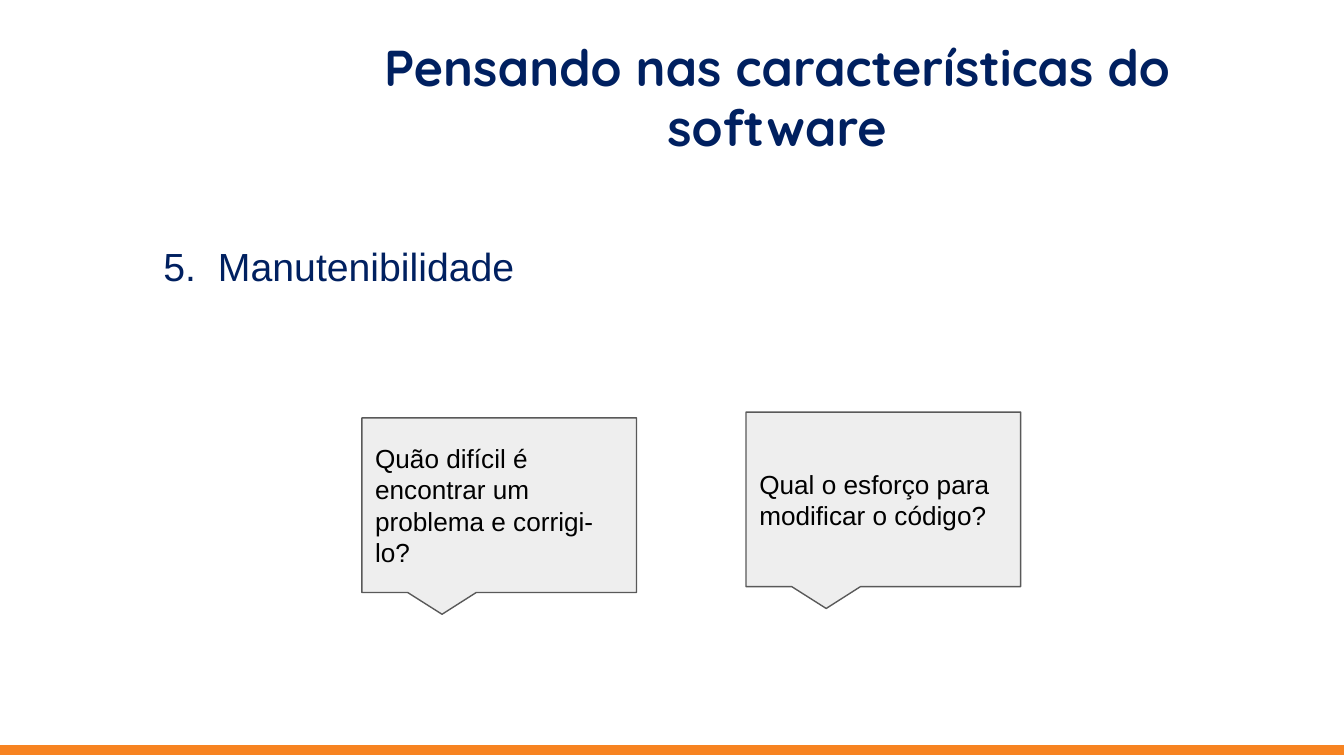
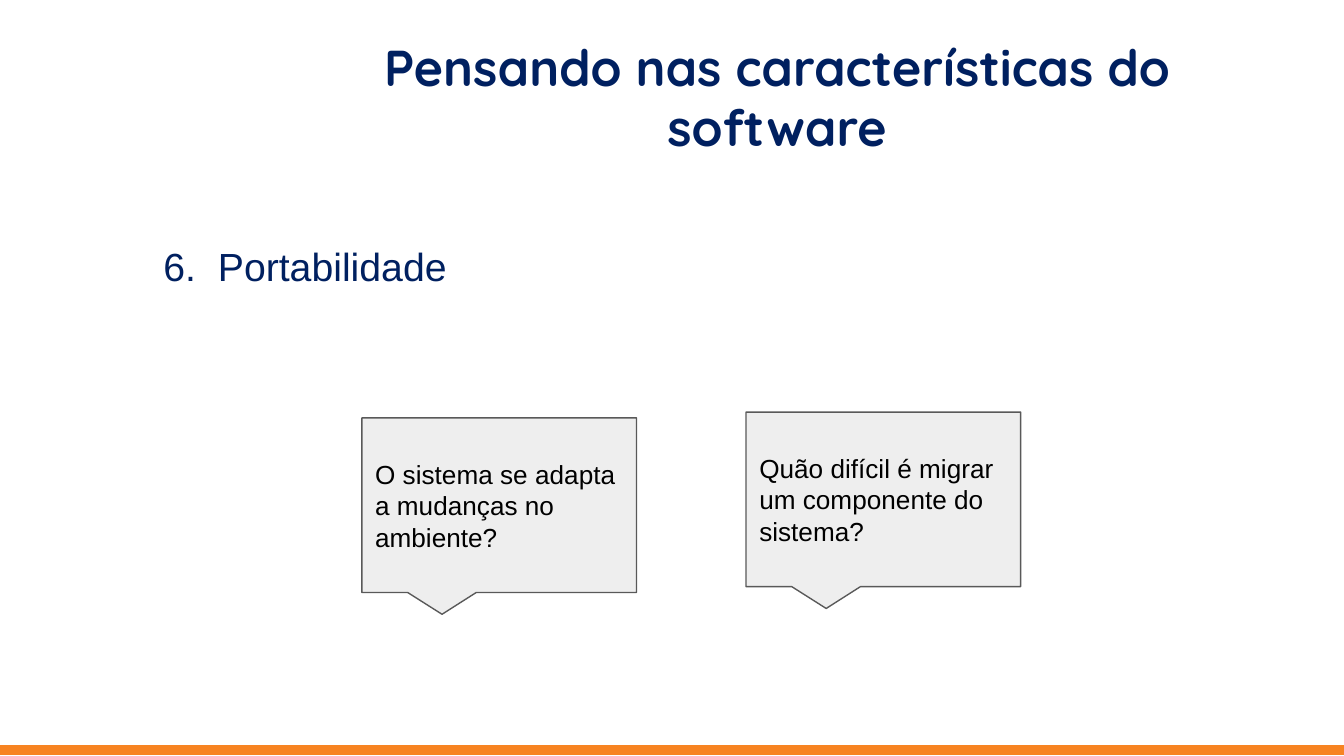
from pptx import Presentation
from pptx.dml.color import RGBColor
from pptx.enum import shapes, text
from pptx.util import Cm, Pt

COLORS = {"navy": "002060", "orange": "F78321", "grey": "EEEEEE", "outline": "595959", "black": "000000"}
TITLE = "Pensando nas características do software"
TOPICS = [
    ("5.", "Manutenibilidade", [
        "Quão difícil é encontrar um problema e corrigi-lo?",
        "Qual o esforço para modificar o código?",
    ]),
    ("6.", "Portabilidade", [
        "O sistema se adapta a mudanças no ambiente?",
        "Quão difícil é migrar um componente do sistema?",
    ]),
]
WIDTH, HEIGHT = 25.4, 14.29
BAND_HEIGHT = 0.16
CALLOUT_SPOTS = [(6.84, 7.9), (14.1, 7.79)]
CALLOUT_SIZE = (5.19, 3.3)
CALLOUT_TIP = (-0.208, 0.625)
INSET = 0.25
NUMBER_INDENT = 1.03


def color(name):
    return RGBColor.from_string(COLORS[name])


def place(box, left, top, width, height):
    box.left, box.top, box.width, box.height = Cm(left), Cm(top), Cm(width), Cm(height)


def write(box, words, size, ink, font="Arial", bold=False,
          align=text.PP_ALIGN.LEFT, anchor=text.MSO_ANCHOR.MIDDLE):
    frame = box.text_frame
    frame.word_wrap = True
    frame.vertical_anchor = anchor
    frame.margin_left = frame.margin_right = frame.margin_top = frame.margin_bottom = Cm(INSET)
    frame.text = words
    para = frame.paragraphs[0]
    para.alignment = align
    para.font.name, para.font.size, para.font.bold = font, Pt(size), bold
    para.font.color.rgb = color(ink)
    return para


def add_block(page, kind, spot, size, fill, line):
    box = page.shapes.add_shape(kind, *map(Cm, spot + size))
    box.shadow.inherit = False
    box.fill.solid()
    box.fill.fore_color.rgb = color(fill)
    box.line.color.rgb = color(line)
    box.line.width = Pt(0.75)
    return box


def add_heading(page):
    place(page.shapes.title, 5.82, 0.41, 17.73, 2.82)
    write(page.shapes.title, TITLE, 27, "navy", "Quicksand", True, text.PP_ALIGN.CENTER)


def add_band(page):
    add_block(page, shapes.MSO_SHAPE.RECTANGLE, (0, HEIGHT - BAND_HEIGHT - 0.03),
              (WIDTH, BAND_HEIGHT), "orange", "orange")


def add_topic(page, number, name):
    box = page.shapes.add_textbox(Cm(2.84), Cm(4.34), Cm(20.83), Cm(3.12))
    para = write(box, f"{number}\t{name}", 21, "navy", anchor=text.MSO_ANCHOR.TOP)
    layout = para._p.get_or_add_pPr()
    layout.set("marL", str(Cm(NUMBER_INDENT)))
    layout.set("indent", str(-Cm(NUMBER_INDENT)))


def add_question(page, spot, question):
    box = add_block(page, shapes.MSO_SHAPE.RECTANGULAR_CALLOUT, spot, CALLOUT_SIZE, "grey", "outline")
    for index, value in enumerate(CALLOUT_TIP):
        box.adjustments[index] = value
    write(box, question, 14, "black")


def main():
    deck = Presentation()
    deck.slide_width, deck.slide_height = Cm(WIDTH), Cm(HEIGHT)
    for number, name, questions in TOPICS:
        page = deck.slides.add_slide(deck.slide_layouts[5])
        add_heading(page)
        add_band(page)
        add_topic(page, number, name)
        for spot, question in zip(CALLOUT_SPOTS, questions):
            add_question(page, spot, question)
    deck.save("out.pptx")


if __name__ == "__main__":
    main()
